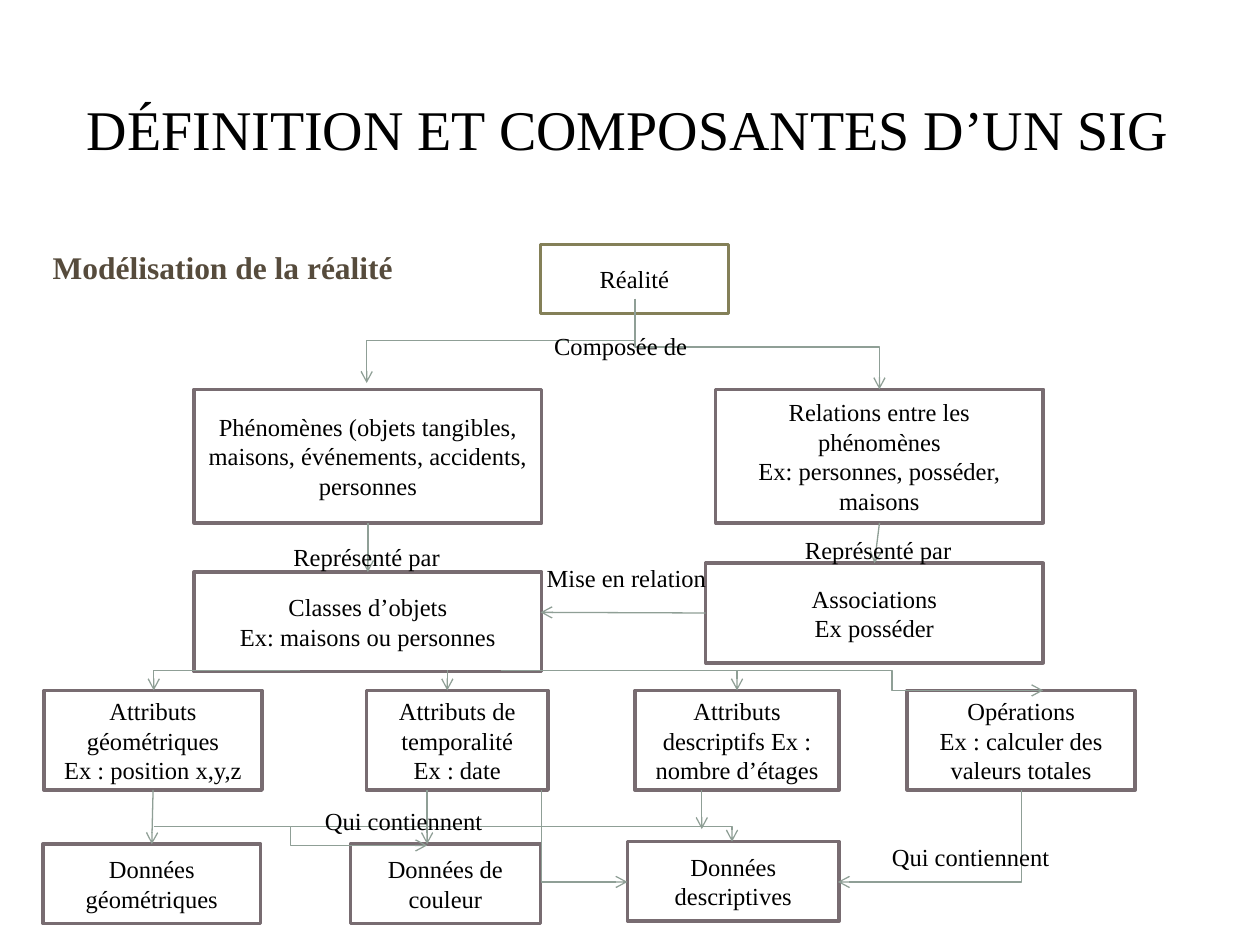
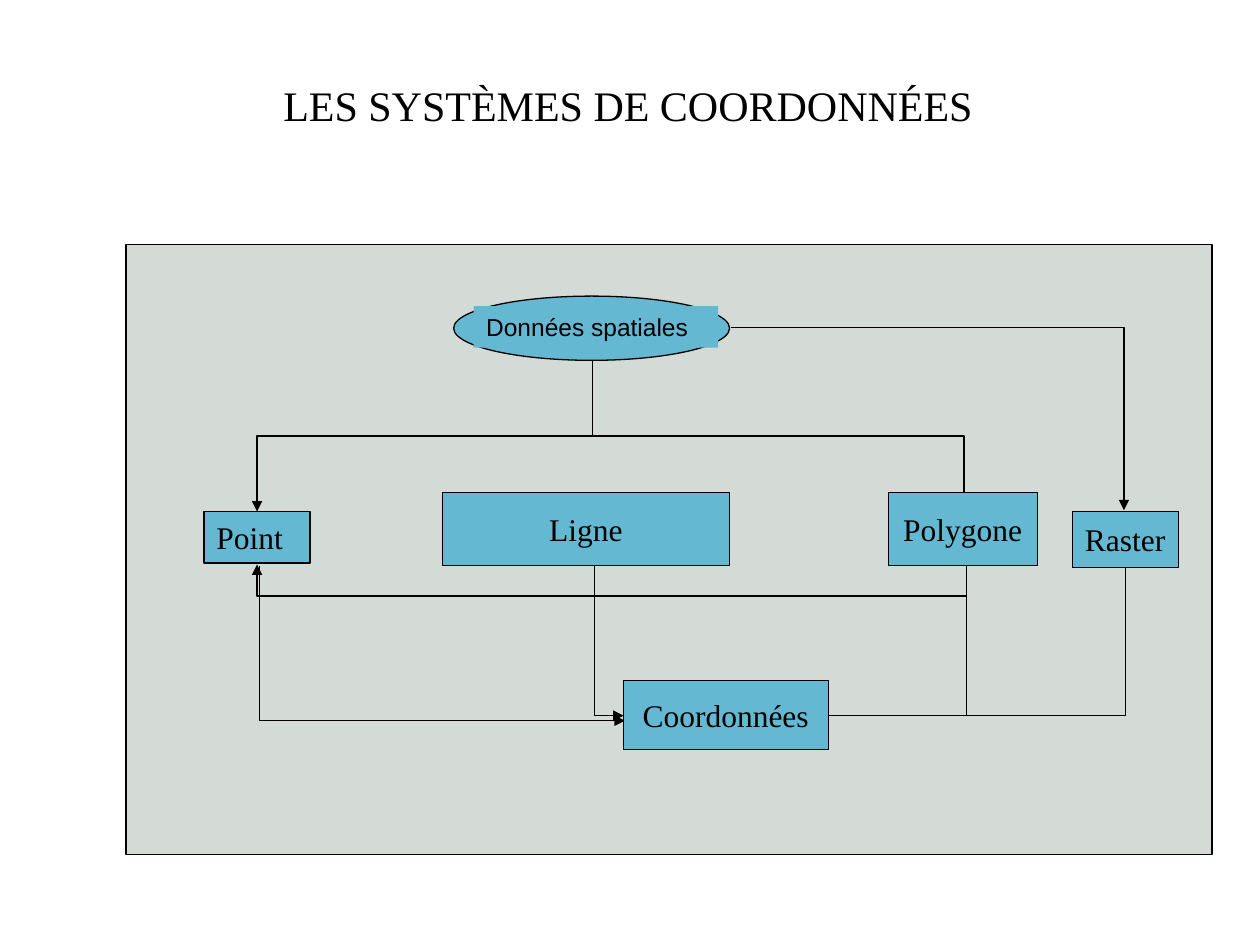
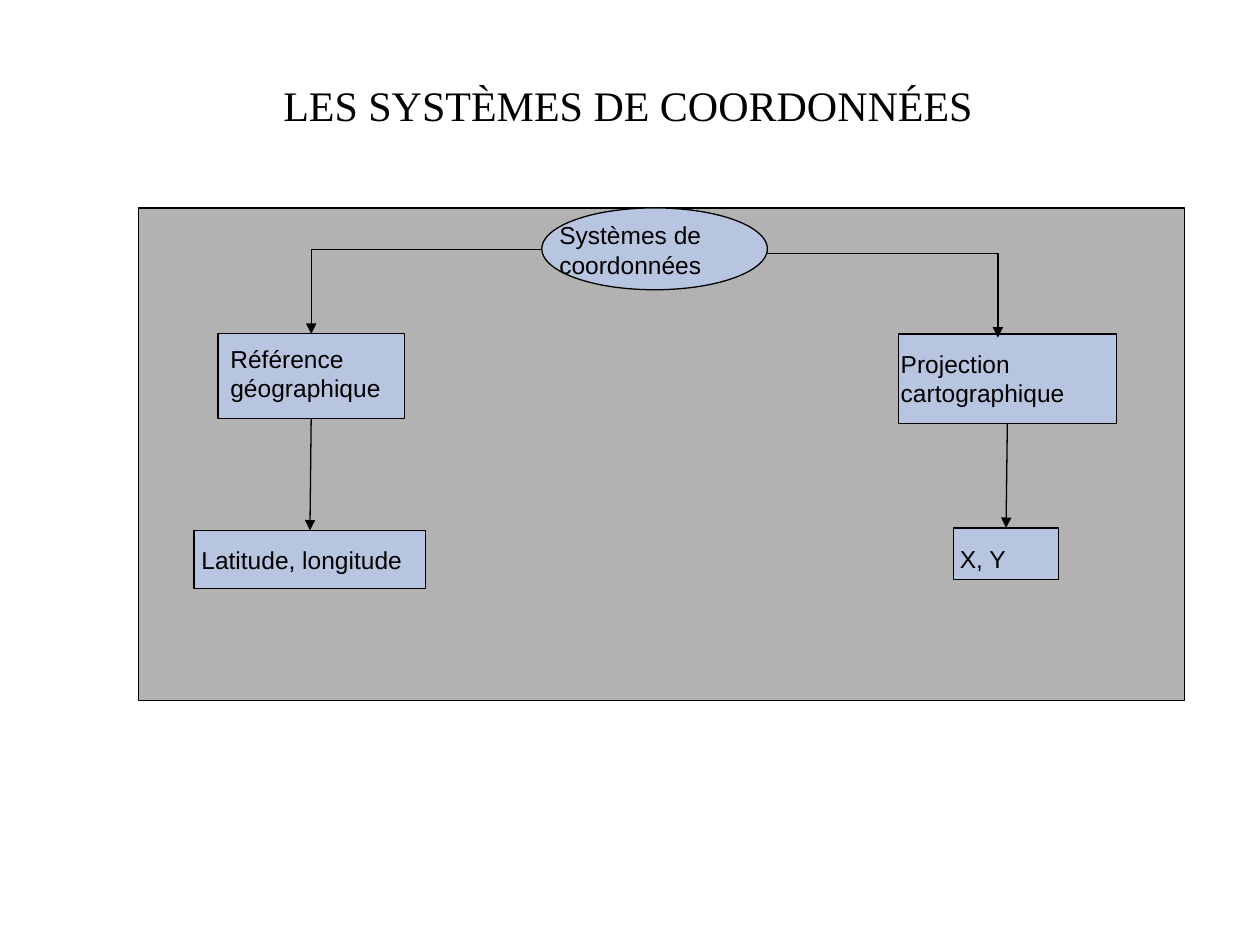
"""Build three slides on GIS modelling and coordinate systems."""
from lxml import etree
from pptx import Presentation
from pptx.dml.color import RGBColor
from pptx.enum.shapes import MSO_CONNECTOR, MSO_SHAPE
from pptx.enum.text import MSO_ANCHOR, MSO_AUTO_SIZE, PP_ALIGN
from pptx.oxml.ns import qn
from pptx.util import Inches, Pt

RECT, OVAL = MSO_SHAPE.RECTANGLE, MSO_SHAPE.OVAL
STRAIGHT, ELBOW = MSO_CONNECTOR.STRAIGHT, MSO_CONNECTOR.ELBOW
LEFT, CENTER = PP_ALIGN.LEFT, PP_ALIGN.CENTER
TOP, MIDDLE = MSO_ANCHOR.TOP, MSO_ANCHOR.MIDDLE
TOP_SITE, LEFT_SITE, BOTTOM_SITE = 0, 1, 2

COLORS = {
    "text": "000000", "subtitle": "564B3C", "white": "FFFFFF",
    "root": "848058", "border": "786C71", "link": "8F9F96", "black": "000000",
    "green": "D4DAD6", "cyan": "64B8D2", "gray": "B2B2B2", "blue": "B8C5E0",
}
SERIF, SANS = "Times New Roman", "Arial"

MODEL_TITLE = "DÉFINITION ET COMPOSANTES D’UN SIG"
COORD_TITLE = "LES SYSTÈMES DE COORDONNÉES"

MODEL_BOXES = {
    "reality": ((4.29, 1.94, 1.49, 0.55), ["Réalité"]),
    "phenomena": ((1.54, 3.09, 2.76, 1.06),
                  ["Phénomènes (objets tangibles, maisons, événements, accidents, personnes"]),
    "relations": ((5.68, 3.09, 2.6, 1.06),
                  ["Relations entre les phénomènes", "Ex: personnes, posséder, maisons"]),
    "classes": ((1.54, 4.54, 2.76, 0.79), ["Classes d’objets", "Ex: maisons ou personnes"]),
    "associations": ((5.6, 4.47, 2.68, 0.79), ["Associations", "Ex posséder"]),
    "geometry": ((0.35, 5.48, 1.73, 0.79), ["Attributs géométriques", "Ex : position x,y,z"]),
    "time": ((2.91, 5.48, 1.44, 0.79), ["Attributs de temporalité", "Ex : date"]),
    "description": ((5.04, 5.48, 1.62, 0.79), ["Attributs descriptifs Ex : nombre d’étages"]),
    "operations": ((7.2, 5.48, 1.81, 0.79),
                   ["Opérations", "Ex : calculer des valeurs totales"]),
    "geometry data": ((0.34, 6.7, 1.73, 0.63), ["Données géométriques"]),
    "color data": ((2.78, 6.7, 1.51, 0.63), ["Données de couleur"]),
    "description data": ((4.98, 6.68, 1.68, 0.63), ["Données descriptives"]),
}
MODEL_LABELS = [
    ((4.3, 2.58, 1.27, 0.34), "Composée de"),
    ((2.23, 4.25, 1.38, 0.34), "Représenté par"),
    ((6.29, 4.2, 1.38, 0.34), "Représenté par"),
    ((4.24, 4.42, 1.48, 0.34), "Mise en relation"),
    ((2.48, 6.35, 1.46, 0.34), "Qui contiennent"),
    ((6.98, 6.63, 1.46, 0.34), "Qui contiennent"),
]
MODEL_LINES = [
    ((2.91, 4.15), (2.91, 4.54), "phenomena", "classes"),
    ((6.98, 4.15), (6.94, 4.47), "relations", "associations"),
    ((1.22, 6.27), (1.21, 6.7), "geometry", "geometry data"),
    ((3.39, 6.27), (3.39, 6.7), None, None),
    ((5.57, 6.27), (5.57, 6.58), None, None),
    ((3.55, 5.32), (3.55, 5.48), None, None),
]
MODEL_ELBOWS = [
    ((5.04, 2.42), (6.98, 3.09), "vhv", 0.5),
    ((5.04, 2.37), (2.91, 3.04), "vhv", 0.5),
    ((1.22, 6.56), (3.39, 6.71), "hvh", 0.5),
    ((2.31, 6.56), (5.81, 6.68), "hv", None),
    ((2.38, 5.32), (1.22, 5.48), "hv", None),
    ((3.98, 5.32), (5.85, 5.48), "hv", None),
    ((5.78, 5.32), (8.28, 5.48), "hvh", 0.52),
    ((8.11, 6.27), (6.65, 7), "vh", None),
    ((4.3, 6.27), (4.98, 7), "vh", None),
]

SPATIAL_ELBOWS = [
    ((4.7, 2.86), (2.04, 4.06), "vhv", 0.5),
    ((4.7, 2.86), (7.65, 4.06), "vhv", 0.5),
    ((7.67, 4.43), (2.04, 4.48), "vhv", 6.0),
    ((5.8, 2.6), (8.92, 4.05), "hv", None),
    ((8.93, 4.43), (6.43, 5.68), "vh", None),
    ((2.06, 4.49), (4.96, 5.72), "vh", None),
    ((4.72, 4.46), (4.95, 5.68), "vh", None),
    ((7.67, 4.43), (6.43, 5.68), "vh", None),
]
SPATIAL_BOXES = [
    ((1.62, 4.06, 0.84, 0.41), "Point", LEFT, 0.75),
    ((7.05, 3.91, 1.18, 0.58), "Polygone", CENTER, 0.25),
    ((8.51, 4.06, 0.84, 0.44), "Raster", CENTER, 0.25),
    ((4.95, 5.4, 1.62, 0.55), "Coordonnées", CENTER, 0.25),
    ((3.51, 3.91, 2.28, 0.58), "Ligne", CENTER, 0.25),
]

SYSTEM_BOXES = {
    "systems": (OVAL, (4.3, 1.65, 1.79, 0.65), (4.34, 1.7, 1.81, 0.57),
                "Systèmes de coordonnées"),
    "reference": (RECT, (1.73, 2.65, 1.48, 0.67), (1.73, 2.68, 1.72, 0.57),
                  "Référence géographique"),
    "projection": (RECT, (7.13, 2.65, 1.73, 0.71), (7.05, 2.72, 2.25, 0.57),
                   "Projection cartographique"),
    "latitude": (RECT, (1.54, 4.21, 1.84, 0.46), (1.5, 4.28, 2.59, 0.33),
                 "Latitude, longitude"),
    "xy": (RECT, (7.57, 4.19, 0.83, 0.41), (7.52, 4.27, 1.57, 0.34), "X, Y"),
}
SYSTEM_LINES = [
    ((2.47, 3.32), (2.46, 4.21), "reference", "latitude"),
    ((7.99, 3.37), (7.98, 4.19), "projection", "xy"),
]
SYSTEM_ELBOWS = [
    ((4.3, 1.98), (2.47, 2.65), "hv", None),
    ((6.08, 2.01), (7.92, 2.68), "hv", None),
]


def rgb(name):
    return RGBColor.from_string(COLORS[name])


def inches(values):
    return [Inches(v) for v in values]


def write(sp, lines, size=14, font=SERIF, align=LEFT, anchor=TOP, color="text",
          bold=False, wrap=True):
    tf = sp.text_frame
    tf.word_wrap = wrap
    tf.auto_size = MSO_AUTO_SIZE.NONE
    tf.vertical_anchor = anchor
    tf.text = "\n".join(lines)
    for p in tf.paragraphs:
        p.alignment = align
        p.font.size, p.font.name, p.font.bold = Pt(size), font, bold
        p.font.color.rgb = rgb(color)


def add_slide(prs, title, size, bottom=0.05):
    s = prs.slides.add_slide(prs.slide_layouts[5])
    sp = s.shapes.title
    sp.left, sp.top, sp.width, sp.height = inches((0.47, 0.45, 9.03, 1.14))
    write(sp, [title], size, align=CENTER, anchor=MIDDLE)
    sp.text_frame.margin_bottom = Inches(bottom)
    return s


def add_box(s, at, fill, line="black", width=0.75, geom=RECT):
    sp = s.shapes.add_shape(geom, *inches(at))
    sp.shadow.inherit = False
    sp.fill.solid()
    sp.fill.fore_color.rgb = rgb(fill)
    if line:
        sp.line.color.rgb = rgb(line)
        sp.line.width = Pt(width)
    else:
        sp.line.fill.background()
    return sp


def add_label(s, at, text, **style):
    write(s.shapes.add_textbox(*inches(at)), [text], **style)


def add_arrow(s, kind, start, end, color, head):
    c = s.shapes.add_connector(kind, *inches(start + end))
    c.line.color.rgb = rgb(color)
    c.line.width = Pt(0.75)
    sppr = c._element.spPr
    etree.SubElement(sppr.find(qn("a:ln")), qn("a:tailEnd"), type=head)
    etree.SubElement(sppr, qn("a:effectLst"))
    return c


def add_lines(s, lines, boxes, color, head):
    for start, end, source, target in lines:
        c = add_arrow(s, STRAIGHT, start, end, color, head)
        if source:
            c.begin_connect(boxes[source], BOTTOM_SITE)
            c.end_connect(boxes[target], TOP_SITE)


def add_elbows(s, elbows, color, head):
    for (x1, y1), (x2, y2), route, bend in elbows:
        w, h = abs(x2 - x1), abs(y2 - y1)
        turn, flip = (0, None) if x2 > x1 else (180, "flipV")
        if route.startswith("v"):
            w, h = h, w
            turn, flip = (270, "flipH") if x2 > x1 else (90, None)
        x, y = (x1 + x2 - w) / 2, (y1 + y2 - h) / 2
        c = add_arrow(s, ELBOW, (x, y), (x + w, y + h), color, head)
        xfrm = c._element.spPr.find(qn("a:xfrm"))
        xfrm.set("rot", str(turn * 60000))
        if flip:
            xfrm.set(flip, "1")
        geom = c._element.spPr.find(qn("a:prstGeom"))
        geom.set("prst", f"bentConnector{len(route)}")
        if bend:
            etree.SubElement(geom.find(qn("a:avLst")), qn("a:gd"), name="adj1",
                             fmla=f"val {round(bend * 100000)}")


def build_model(prs):
    s = add_slide(prs, MODEL_TITLE, 32)
    add_label(s, (0.32, 1.92, 9.33, 0.45), "Modélisation de la réalité", size=18,
              color="subtitle", bold=True)
    boxes = {}
    for name, (at, lines) in MODEL_BOXES.items():
        border = "root" if name == "reality" else "border"
        boxes[name] = add_box(s, at, "white", border, 2)
        write(boxes[name], lines, align=CENTER, anchor=MIDDLE)
    add_lines(s, MODEL_LINES, boxes, "link", "arrow")
    c = add_arrow(s, STRAIGHT, (5.6, 4.86), (4.29, 4.86), "link", "arrow")
    c.begin_connect(boxes["associations"], LEFT_SITE)
    add_elbows(s, MODEL_ELBOWS, "link", "arrow")
    for at, text in MODEL_LABELS:
        add_label(s, at, text, wrap=False)


def build_spatial(prs):
    s = add_slide(prs, COORD_TITLE, 24, 0.43)
    add_box(s, (1, 1.94, 8.62, 4.84), "green")
    add_elbows(s, SPATIAL_ELBOWS, "black", "triangle")
    add_box(s, (3.6, 2.35, 2.19, 0.51), "cyan", geom=OVAL)
    sp = add_box(s, (3.76, 2.43, 1.94, 0.33), "cyan", None)
    write(sp, ["Données spatiales"], font=SANS)
    for at, text, align, width in SPATIAL_BOXES:
        sp = add_box(s, at, "cyan", width=width)
        write(sp, [text], 18, align=align, anchor=MIDDLE)


def build_systems(prs):
    s = add_slide(prs, COORD_TITLE, 24, 0.43)
    add_box(s, (1.1, 1.65, 8.3, 3.91), "gray")
    boxes = {}
    for name, (geom, at, text_at, text) in SYSTEM_BOXES.items():
        boxes[name] = add_box(s, at, "blue", geom=geom)
        add_label(s, text_at, text, font=SANS)
    add_lines(s, SYSTEM_LINES, boxes, "black", "triangle")
    add_elbows(s, SYSTEM_ELBOWS, "black", "triangle")


def main():
    prs = Presentation()
    prs.slide_width, prs.slide_height = Inches(10), Inches(7.5)
    build_model(prs)
    build_spatial(prs)
    build_systems(prs)
    prs.save("out.pptx")


if __name__ == "__main__":
    main()
